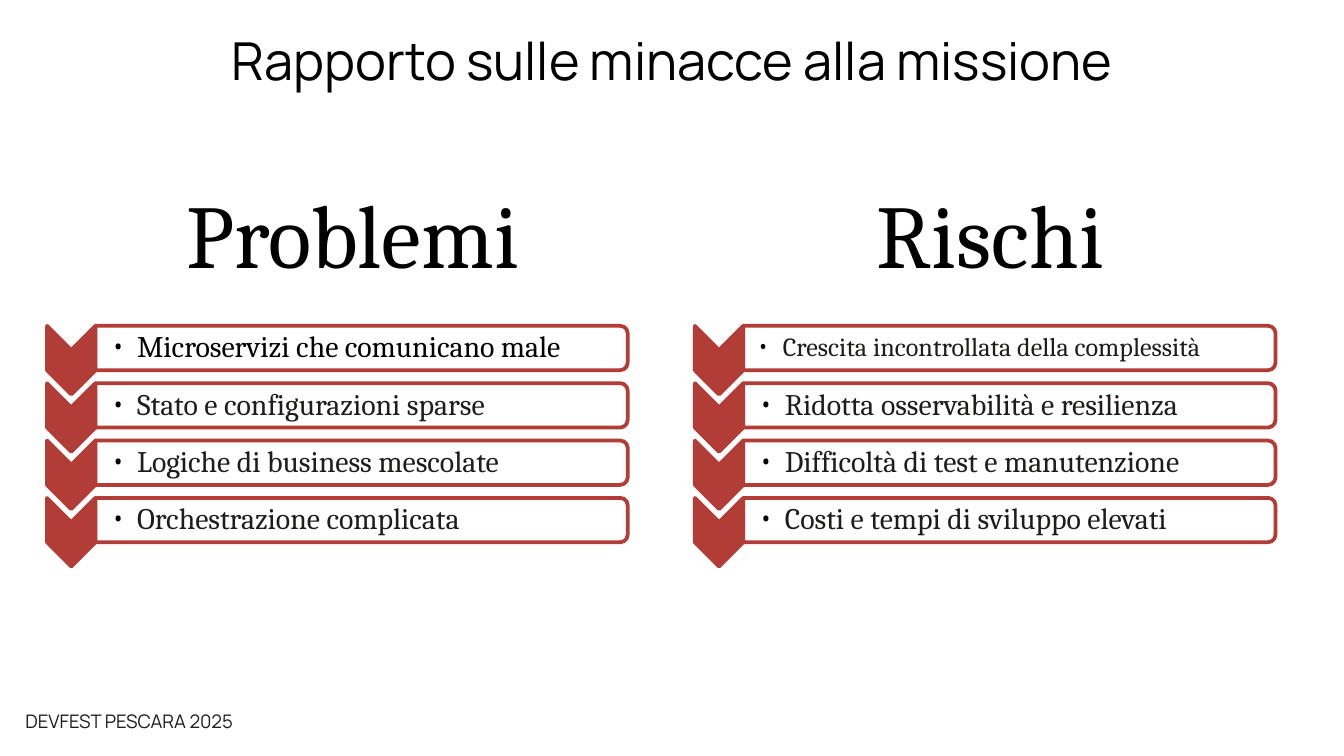
import pptx
import pptx.dml.color
import pptx.enum.shapes
import pptx.enum.text
import pptx.oxml.ns
import pptx.util
import lxml.etree

Inches = pptx.util.Inches
Pt = pptx.util.Pt
SHAPE = pptx.enum.shapes.MSO_SHAPE
ALIGN = pptx.enum.text.PP_ALIGN
ANCHOR = pptx.enum.text.MSO_ANCHOR
FIT = pptx.enum.text.MSO_AUTO_SIZE
qn = pptx.oxml.ns.qn

COLORS = {"black": "000000", "ink": "1D1D1B", "red": "B23C36", "white": "FFFFFF"}

FOOTER = "DEVFEST PESCARA 2025"
TITLE = "Rapporto sulle minacce alla missione"
COLUMNS = [
    ("Problemi", (0.46, 1.28, 4.33, 0.91), [
        ("Microservizi che comunicano male", 16, "black"),
        ("Stato e configurazioni sparse", 16, "ink"),
        ("Logiche di business mescolate", 16, "ink"),
        ("Orchestrazione complicata", 16, "ink"),
    ]),
    ("Rischi", (5.21, 1.28, 4.32, 0.91), [
        ("Crescita incontrollata della complessità", 14, "ink"),
        ("Ridotta osservabilità e resilienza", 16, "ink"),
        ("Difficoltà di test e manutenzione", 16, "ink"),
        ("Costi e tempi di sviluppo elevati", 16, "ink"),
    ]),
]

SLIDE_WIDTH = 10
LEFT, FIRST_MIDDLE, LAST_MIDDLE = 0.35, 2.59, 3.87
COLUMN_STEP = 4.82
CHEVRON_DROP = 0.09
CHEVRON = (0.51, 0.36)
BAR = (0.33, 3.96)
LABEL = (3.95, 0.3)
INDENT = 0.19


def color(name):
    return pptx.dml.color.RGBColor.from_string(COLORS[name])


def add_bullet(para):
    para.line_spacing = 0.9
    properties = para._p.get_or_add_pPr()
    properties.set("marL", str(Inches(INDENT)))
    properties.set("indent", str(-Inches(INDENT)))
    bullet_color = lxml.etree.SubElement(properties, qn("a:buClr"))
    lxml.etree.SubElement(bullet_color, qn("a:srgbClr"), val=COLORS["black"])
    lxml.etree.SubElement(properties, qn("a:buFont"), typeface="Cambria")
    lxml.etree.SubElement(properties, qn("a:buChar"), char="•")


def add_text(shapes, text, place, font, size, ink, margins=(0.1, 0.05, 0.1, 0.05),
             align=ALIGN.LEFT, anchor=ANCHOR.TOP, fit=FIT.SHAPE_TO_FIT_TEXT, bullet=False):
    box = shapes.add_textbox(*map(Inches, place))
    left, top, right, bottom = map(Inches, margins)
    frame_format = {
        "word_wrap": True, "auto_size": fit, "vertical_anchor": anchor,
        "margin_left": left, "margin_top": top,
        "margin_right": right, "margin_bottom": bottom,
    }
    for name, value in frame_format.items():
        setattr(box.text_frame, name, value)
    para = box.text_frame.paragraphs[0]
    para.alignment = align
    if bullet:
        add_bullet(para)
    span = para.add_run()
    span.text = text
    for name, value in {"name": font, "size": Pt(size)}.items():
        setattr(span.font, name, value)
    span.font.color.rgb = color(ink)


def add_turned_shape(shapes, kind, center_x, center_y, size, fill, opacity=100):
    width, height = size
    shape = shapes.add_shape(
        kind, Inches(center_x - width / 2), Inches(center_y - height / 2),
        Inches(width), Inches(height))
    shape.rotation = 90
    shape.shadow.inherit = False
    shape.fill.solid()
    shape.fill.fore_color.rgb = color(fill)
    shape.line.color.rgb = color("red")
    shape.line.width = Pt(2)
    if opacity < 100:
        tint = shape._element.spPr.find(qn("a:solidFill")).find(qn("a:srgbClr"))
        lxml.etree.SubElement(tint, qn("a:alpha"), val=str(opacity * 1000))


def add_row(shapes, left, middle, text, size, ink):
    chevron_width = CHEVRON[1]
    bar_left = left + chevron_width
    add_turned_shape(shapes, SHAPE.CHEVRON, left + chevron_width / 2,
                     middle + CHEVRON_DROP, CHEVRON, "red")
    add_turned_shape(shapes, SHAPE.ROUND_2_SAME_RECTANGLE, bar_left + BAR[1] / 2,
                     middle, BAR, "white", opacity=90)
    add_text(shapes, text, (bar_left, middle - LABEL[1] / 2, *LABEL), "Cambria", size, ink,
             margins=(size * 0.0075, 0.01, 0.01, 0.01), anchor=ANCHOR.MIDDLE,
             fit=FIT.NONE, bullet=True)


def main():
    deck = pptx.Presentation()
    deck.slide_width = Inches(SLIDE_WIDTH)
    deck.slide_height = Inches(SLIDE_WIDTH * 9 / 16)
    shapes = deck.slides.add_slide(deck.slide_layouts[6]).shapes
    add_text(shapes, FOOTER, (0.09, 5.2, 6.42, 0.37), "Manrope", 10, "ink", margins=(0.1,) * 4)
    add_text(shapes, TITLE, (0, 0.16, SLIDE_WIDTH, 0.57), "Manrope", 28, "black",
             align=ALIGN.CENTER)
    for column, (heading, place, items) in enumerate(COLUMNS):
        row_step = (LAST_MIDDLE - FIRST_MIDDLE) / (len(items) - 1)
        for row, item in enumerate(items):
            add_row(shapes, LEFT + column * COLUMN_STEP, FIRST_MIDDLE + row * row_step, *item)
        add_text(shapes, heading, place, "Cambria", 48, "black", align=ALIGN.CENTER)
    deck.save("out.pptx")


if __name__ == "__main__":
    main()
